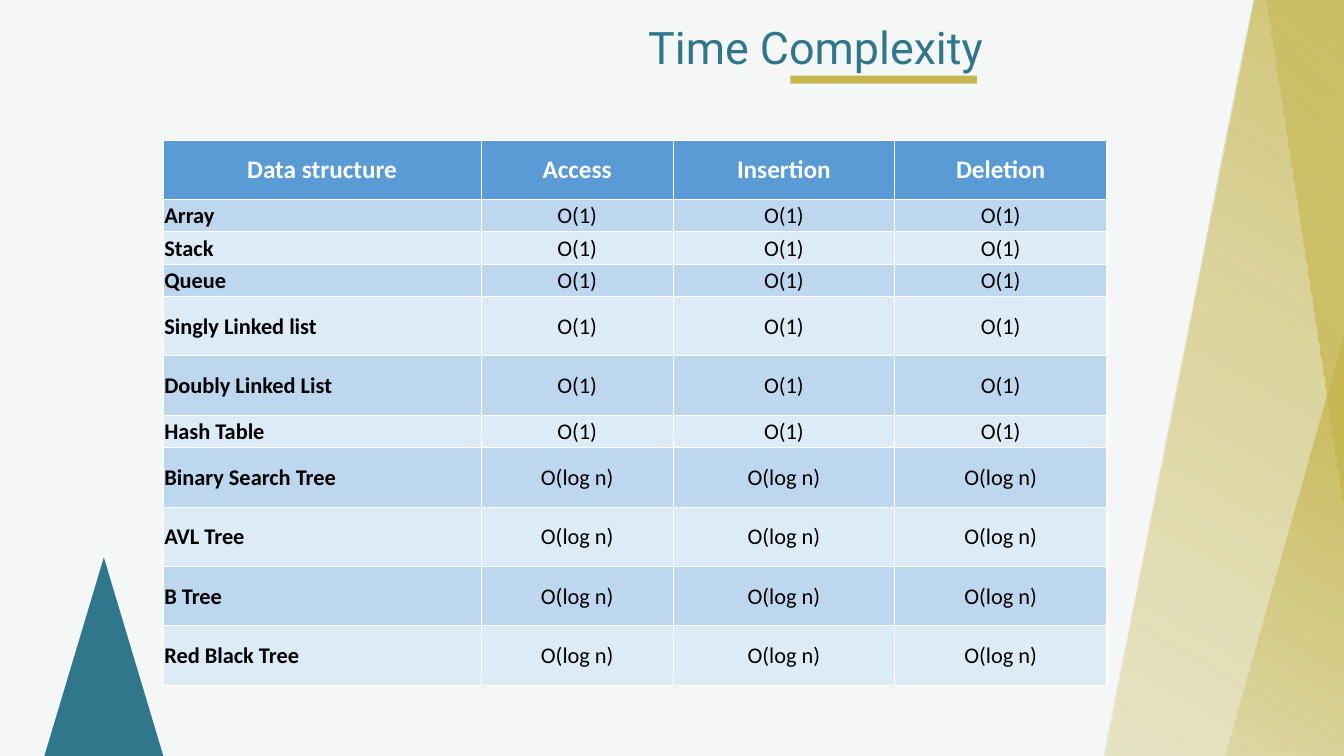
from lxml import etree
from pptx import Presentation
from pptx.dml.color import RGBColor
from pptx.enum.shapes import MSO_SHAPE
from pptx.enum.text import MSO_ANCHOR, PP_ALIGN
from pptx.oxml import parse_xml
from pptx.oxml.ns import nsdecls, qn
from pptx.util import Inches, Pt

TEAL, GOLD, WHITE = "30778B", "C5B64F", "FFFFFF"


def color(value):
    return RGBColor.from_string(value)


def add_plain(kind, bounds, fill):
    shape = page.shapes.add_shape(kind, *map(Inches, bounds))
    shape.shadow.inherit = False
    shape.fill.solid()
    shape.fill.fore_color.rgb = color(fill)
    shape.line.fill.background()
    return shape


deck = Presentation()
deck.slide_width, deck.slide_height = Inches(13.33), Inches(7.5)
page = deck.slides.add_slide(deck.slide_layouts[6])

# Backdrop with translucent gold triangles
add_plain(MSO_SHAPE.RECTANGLE, (0, 0, 13.33, 7.5), "F5F7F6")
stops = "".join(
    f'<a:gs pos="{place * 1000}"><a:srgbClr val="{GOLD}">'
    f'<a:alpha val="{alpha * 1000}"/></a:srgbClr></a:gs>'
    for place, alpha in [(0, 100), (50, 55), (100, 23)])
gradient = (f'<a:gradFill {nsdecls("a")} rotWithShape="1"><a:gsLst>{stops}</a:gsLst>'
            f'<a:lin ang="{120 * 60000}" scaled="0"/></a:gradFill>')
gold_triangles = [
    ((12.16, 3.34, 2.34, 4.16), 0),
    ((10.73, -2.68, 4.48, 11.33), 0),
    ((11.83, -0.42, 4.21, 5.69), 191.6),
]
for bounds, rotation in gold_triangles:
    triangle = add_plain(MSO_SHAPE.ISOSCELES_TRIANGLE, bounds, GOLD)
    triangle.rotation = rotation
    solid = triangle._element.spPr.find(qn("a:solidFill"))
    solid.getparent().replace(solid, parse_xml(gradient))

# Teal triangle
add_plain(MSO_SHAPE.ISOSCELES_TRIANGLE, (0.44, 5.53, 1.18, 1.97), TEAL)

# Title and underline
box = page.shapes.add_textbox(Inches(3.26), Inches(0.15), Inches(6.59), Inches(0.64))
box.text_frame.word_wrap = True
para = box.text_frame.paragraphs[0]
para.alignment = PP_ALIGN.RIGHT
span = para.add_run()
span.text = "Time Complexity"
span.font.color.rgb = color(TEAL)
for name, value in {"name": "Roboto", "size": Pt(32)}.items():
    setattr(span.font, name, value)
add_plain(MSO_SHAPE.RECTANGLE, (7.84, 0.75, 1.85, 0.08), GOLD)

# Complexity table: structure, cost of every operation, row height
TALL, SHORT = 0.59, 0.32
structures = [
    ("Array", "O(1)", SHORT),
    ("Stack", "O(1)", SHORT),
    ("Queue", "O(1)", SHORT),
    ("Singly Linked list", "O(1)", TALL),
    ("Doubly Linked List", "O(1)", TALL),
    ("Hash Table", "O(1)", SHORT),
    ("Binary Search Tree", "O(log n)", TALL),
    ("AVL Tree", "O(log n)", TALL),
    ("B Tree", "O(log n)", TALL),
    ("Red Black Tree", "O(log n)", TALL),
]
rows = [["Data structure", "Access", "Insertion", "Deletion"]]
rows += [[name] + [cost] * 3 for name, cost, height in structures]
heights = [TALL] + [height for name, cost, height in structures]
widths = [3.15, 1.91, 2.19, 2.11]
table = page.shapes.add_table(len(rows), len(widths), Inches(1.62), Inches(1.39),
                              Inches(sum(widths)), Inches(sum(heights))).table
for column, width in zip(table.columns, widths):
    column.width = Inches(width)
for row, height in zip(table.rows, heights):
    row.height = Inches(height)

cell_format = {"vertical_anchor": MSO_ANCHOR.MIDDLE, "margin_left": Inches(0.01),
               "margin_right": Inches(0.01), "margin_top": Inches(0.01), "margin_bottom": 0}
for r, texts in enumerate(rows):
    for c, text in enumerate(texts):
        cell = table.cell(r, c)
        for name, value in cell_format.items():
            setattr(cell, name, value)
        header = r == 0
        cell.fill.solid()
        cell.fill.fore_color.rgb = color("5B9BD5" if header else ("DDEBF7", "BDD7EE")[r % 2])
        para = cell.text_frame.paragraphs[0]
        para.alignment = PP_ALIGN.CENTER if header or c else PP_ALIGN.LEFT
        span = para.add_run()
        span.text = text
        span.font.color.rgb = color(WHITE if header else "000000")
        font_format = {"name": "Calibri", "size": Pt(18 if header else 16),
                       "bold": header or c == 0}
        for name, value in font_format.items():
            setattr(span.font, name, value)

        # White rules between neighbouring cells
        inner_sides = {"lnL": c > 0, "lnR": c < len(widths) - 1,
                       "lnT": r > 0, "lnB": r < len(rows) - 1}
        sides = [side for side, inner in inner_sides.items() if inner]
        for position, side in enumerate(sides):
            border = etree.Element(qn(f"a:{side}"), w=str(Pt(0.5)))
            paint = etree.SubElement(border, qn("a:solidFill"))
            etree.SubElement(paint, qn("a:srgbClr"), val=WHITE)
            cell._tc.get_or_add_tcPr().insert(position, border)

deck.save("out.pptx")
